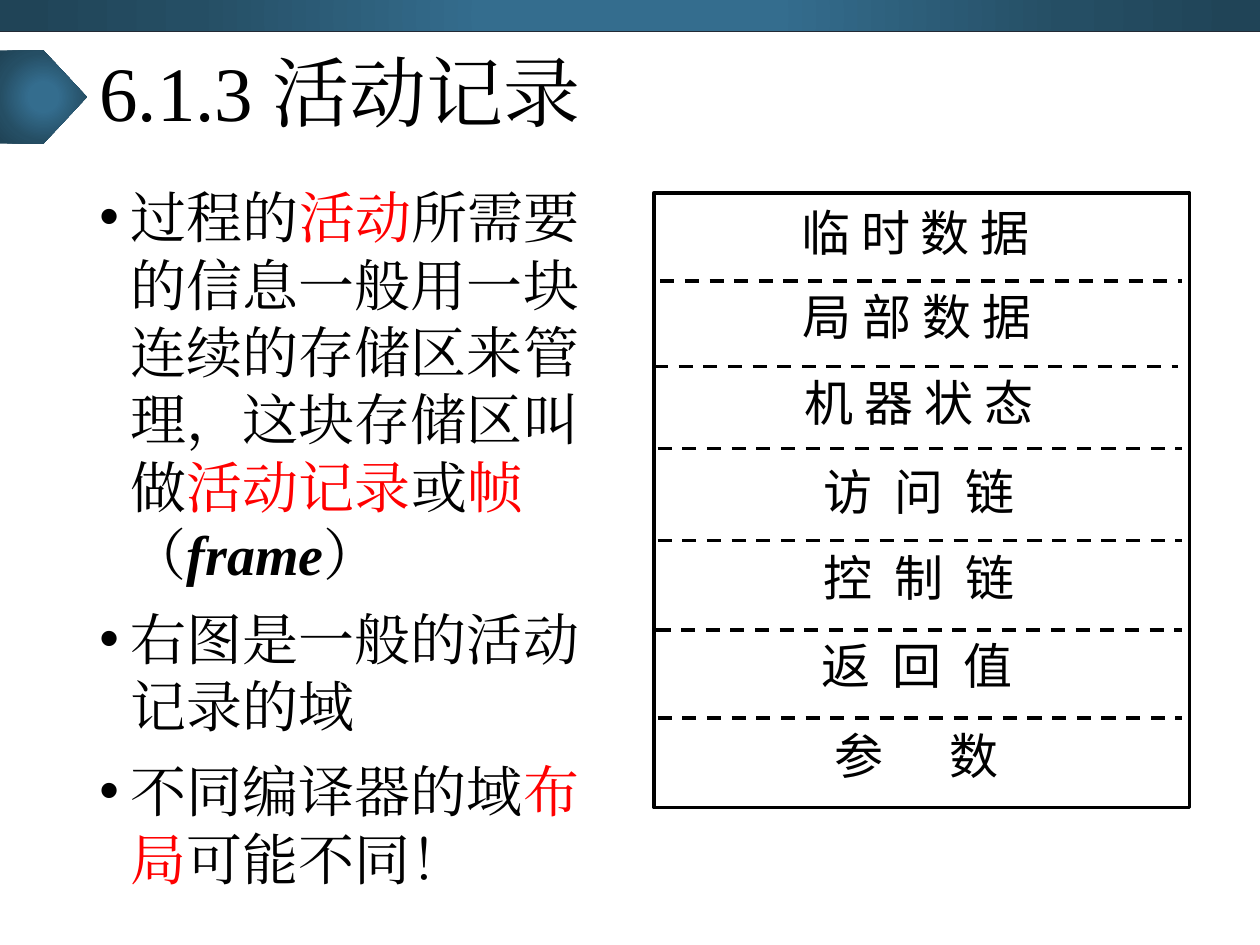
from lxml import etree
from pptx import Presentation
from pptx.dml.color import RGBColor
from pptx.enum.dml import MSO_LINE
from pptx.enum.shapes import MSO_CONNECTOR, MSO_SHAPE
from pptx.enum.text import MSO_ANCHOR, PP_ALIGN
from pptx.oxml import parse_xml
from pptx.oxml.ns import nsdecls, qn
from pptx.util import Inches, Pt

RECT, PENTAGON = MSO_SHAPE.RECTANGLE, MSO_SHAPE.PENTAGON
STRAIGHT, DASH = MSO_CONNECTOR.STRAIGHT, MSO_LINE.DASH
MIDDLE, CENTER = MSO_ANCHOR.MIDDLE, PP_ALIGN.CENTER
SERIF, SANS = "Times New Roman", "Noto Sans CJK SC"
BLACK, RED = "000000", "FF0000"
GRADIENT = [(0, "346D8E"), (23, "346D8E"), (69, "254E64"), (97, "204457")]


def style(r, size, font, color=BLACK):
    """Set the run's size, colour and font, for Latin and Chinese text alike."""
    r.font.size = Pt(size)
    r.font.name = font
    r.font.color.rgb = RGBColor.from_string(color)
    ea = etree.Element(qn("a:ea"), typeface=font)
    r.font._element.find(qn("a:latin")).addnext(ea)


def add_line(x1, y1, x2, y2, color, width):
    line = s.shapes.add_connector(STRAIGHT, Inches(x1), Inches(y1), Inches(x2), Inches(y2))
    line.line.color.rgb = RGBColor.from_string(color)
    line.line.width = Pt(width)
    etree.SubElement(line._element.spPr, qn("a:effectLst"))
    return line


prs = Presentation()
prs.slide_width, prs.slide_height = Inches(10), Inches(7.5)
s = prs.slides.add_slide(prs.slide_layouts[6])

# Top band and title marker, both with a radial gradient
stops = "".join(f'<a:gs pos="{pos * 1000}"><a:srgbClr val="{color}"/></a:gs>'
                for pos, color in GRADIENT)
for kind, x, y, w, h in [(RECT, 0, 0, 10, 0.25), (PENTAGON, 0, 0.4, 0.69, 0.74)]:
    sp = s.shapes.add_shape(kind, Inches(x), Inches(y), Inches(w), Inches(h))
    sp.shadow.inherit = False
    sp.line.fill.background()
    sp._element.spPr.find(qn("a:prstGeom")).addnext(parse_xml(
        f'<a:gradFill {nsdecls("a")}><a:gsLst>{stops}</a:gsLst><a:path path="circle">'
        '<a:fillToRect l="50000" t="50000" r="50000" b="50000"/></a:path></a:gradFill>'))
add_line(0, 0.25, 10, 0.25, "222A35", 0.5)

# Title
tf = s.shapes.add_textbox(Inches(0.69), Inches(0.25), Inches(8.62), Inches(1.04)).text_frame
tf.word_wrap = True
tf.vertical_anchor = MIDDLE
p = tf.paragraphs[0]
p.text = "6.1.3 活动记录"
p.line_spacing = 0.9
style(p.runs[0], 44, SERIF)

# Bulleted text
bullets = [
    [("过程的", BLACK), ("活动", RED),
     ("所需要的信息一般用一块连续的存储区来管理，这块存储区叫做", BLACK),
     ("活动记录", RED), ("或", BLACK), ("帧", RED), ("（", BLACK),
     ("frame", BLACK), ("）", BLACK)],
    [("右图是一般的活动记录的域", BLACK)],
    [("不同编译器的域", BLACK), ("布局", RED), ("可能不同！", BLACK)],
]
tf = s.shapes.add_textbox(Inches(0.69), Inches(1.4), Inches(4.25), Inches(5.96)).text_frame
tf.word_wrap = True
for i, parts in enumerate(bullets):
    p = tf.add_paragraph() if i else tf.paragraphs[0]
    p.line_spacing = Pt(38.5)
    if i:
        p.space_before = Pt(10)
    pPr = p._p.get_or_add_pPr()
    pPr.set("marL", str(Inches(0.25)))
    pPr.set("indent", str(Inches(-0.25)))
    etree.SubElement(pPr, qn("a:buFont"), typeface="Arial")
    etree.SubElement(pPr, qn("a:buChar"), char="•")
    for text, color in parts:
        r = p.add_run()
        r.text = text
        style(r, 32, SERIF, color)
        if text == "frame":
            r.font.bold = r.font.italic = True

# Activation record: frame, field labels, dashed dividers
frame = s.shapes.add_shape(RECT, Inches(5.19), Inches(1.53), Inches(4.25), Inches(4.88))
frame.shadow.inherit = False
frame.fill.background()
frame.line.color.rgb = RGBColor.from_string(BLACK)
frame.line.width = Pt(2)

fields = [("临 时 数 据", 5.27, 1.4), ("局 部 数 据", 5.28, 2.07), ("机 器 状 态", 5.3, 2.75),
          ("访  问  链", 5.3, 3.46), ("控  制  链", 5.3, 4.14), ("返  回  值", 5.28, 4.84),
          ("参      数", 5.28, 5.55)]
for text, x, y in fields:
    tf = s.shapes.add_textbox(Inches(x), Inches(y), Inches(3.99), Inches(0.84)).text_frame
    tf.word_wrap = True
    tf.vertical_anchor = MIDDLE
    tf.margin_top = Inches(0.09)
    p = tf.paragraphs[0]
    p.text = text
    p.alignment = CENTER
    style(p.runs[0], 28, SANS)

dividers = [(5.24, 9.38, 2.23), (5.19, 9.35, 2.91), (5.22, 9.38, 3.56),
            (5.22, 9.38, 4.29), (5.21, 9.38, 5), (5.22, 9.38, 5.7)]
for left, right, y in dividers:
    add_line(left, y, right, y, BLACK, 2).line.dash_style = DASH

prs.save("out.pptx")
